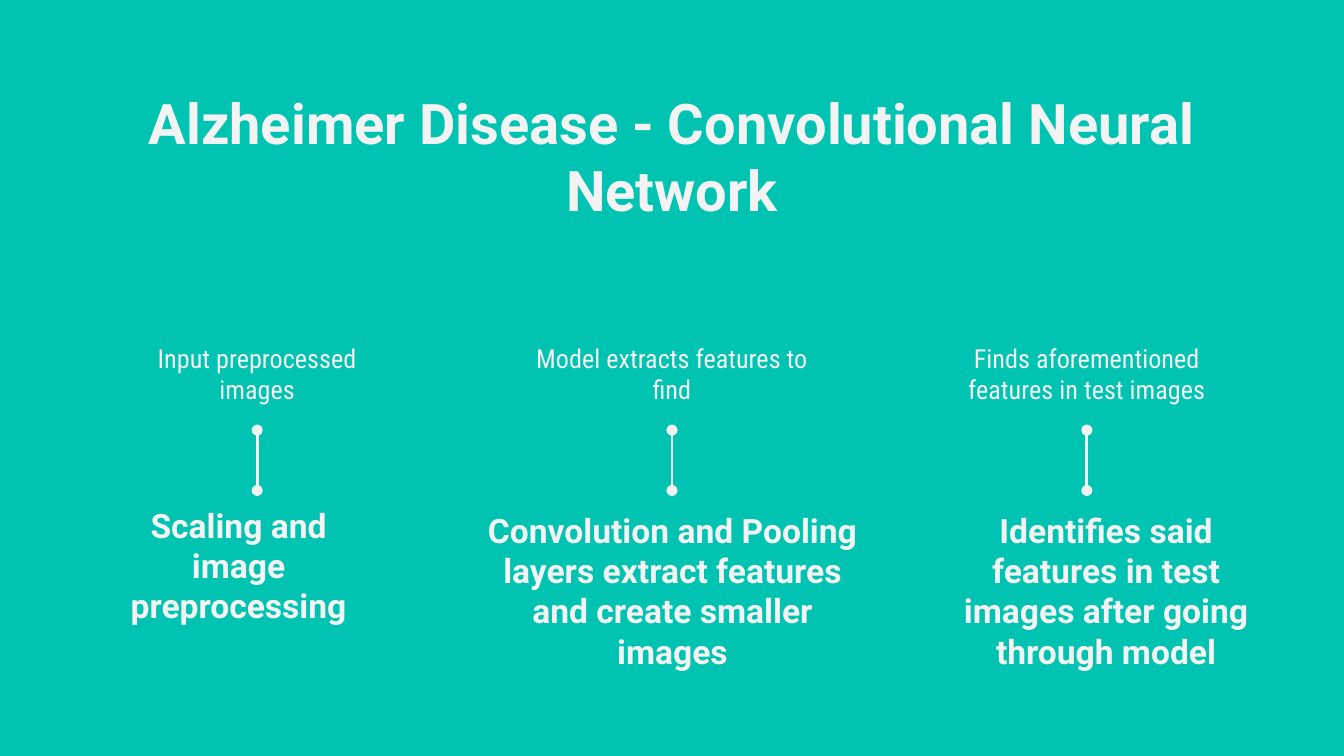
from pptx import Presentation
from pptx.dml.color import RGBColor
from pptx.enum.shapes import MSO_CONNECTOR
from pptx.enum.text import MSO_ANCHOR, MSO_AUTO_SIZE, PP_ALIGN
from pptx.oxml.ns import qn
from pptx.util import Cm, Pt
from lxml.etree import SubElement

TEAL = RGBColor(0x00, 0xC3, 0xB1)
LIGHT = RGBColor(0xF3, 0xF3, 0xF3)

TITLE = "Alzheimer Disease - Convolutional Neural Network"
# step, heading, heading left, heading top, heading width
STAGES = [
    ("Input preprocessed images",
     "Scaling and image preprocessing", 2.01, 9.73, 5.0),
    ("Model extracts features to find",
     "Convolution and Pooling layers extract features and create smaller images",
     9.14, 10.21, 7.14),
    ("Finds aforementioned features in test images",
     "Identifies said features in test images after going through model",
     17.68, 10.21, 6.45),
]
FIRST_CENTER, CENTER_STEP = 4.86, 7.84
STEP_TOP, STEP_W, STEP_H = 5.72, 5.72, 2.69
HEADING_H = 1.9
LINE_TOP, LINE_BOTTOM = 8.13, 9.27


def write(sp, text, font, size, bold=False, anchor=MSO_ANCHOR.MIDDLE, inset=0.25):
    tf = sp.text_frame
    tf.word_wrap = True
    tf.auto_size = MSO_AUTO_SIZE.NONE
    tf.vertical_anchor = anchor
    tf.margin_left = tf.margin_right = tf.margin_top = tf.margin_bottom = Cm(inset)
    p = tf.paragraphs[0]
    p.text = text
    p.alignment = PP_ALIGN.CENTER
    p.font.name, p.font.size, p.font.bold = font, Pt(size), bold
    p.font.color.rgb = LIGHT


def add_text(s, left, top, width, height, *args, **kwargs):
    sp = s.shapes.add_textbox(Cm(left), Cm(top), Cm(width), Cm(height))
    write(sp, *args, **kwargs)


def add_dumbbell(s, x):
    line = s.shapes.add_connector(
        MSO_CONNECTOR.STRAIGHT, Cm(x), Cm(LINE_TOP), Cm(x), Cm(LINE_BOTTOM))
    line.line.color.rgb = LIGHT
    line.line.width = Pt(1.5)
    ln = line.line._get_or_add_ln()
    for end in ("a:headEnd", "a:tailEnd"):
        SubElement(ln, qn(end), type="oval")
    SubElement(line._element.spPr, qn("a:effectLst"))


prs = Presentation()
prs.slide_width, prs.slide_height = Cm(25.4), Cm(14.29)
s = prs.slides.add_slide(prs.slide_layouts[5])
s.background.fill.solid()
s.background.fill.fore_color.rgb = TEAL

title = s.shapes.title
title.left, title.top, title.width, title.height = Cm(2), Cm(1.42), Cm(21.4), Cm(1.6)
write(title, TITLE, "Roboto", 30, bold=True, anchor=MSO_ANCHOR.TOP)

for i, (step, heading, left, top, width) in enumerate(STAGES):
    center = FIRST_CENTER + i * CENTER_STEP
    add_text(s, center - STEP_W / 2, STEP_TOP, STEP_W, STEP_H,
             step, "Roboto Condensed", 14)
    add_text(s, left, top, width, HEADING_H, heading, "Roboto", 18, bold=True, inset=0)
    add_dumbbell(s, center)

prs.save("out.pptx")
